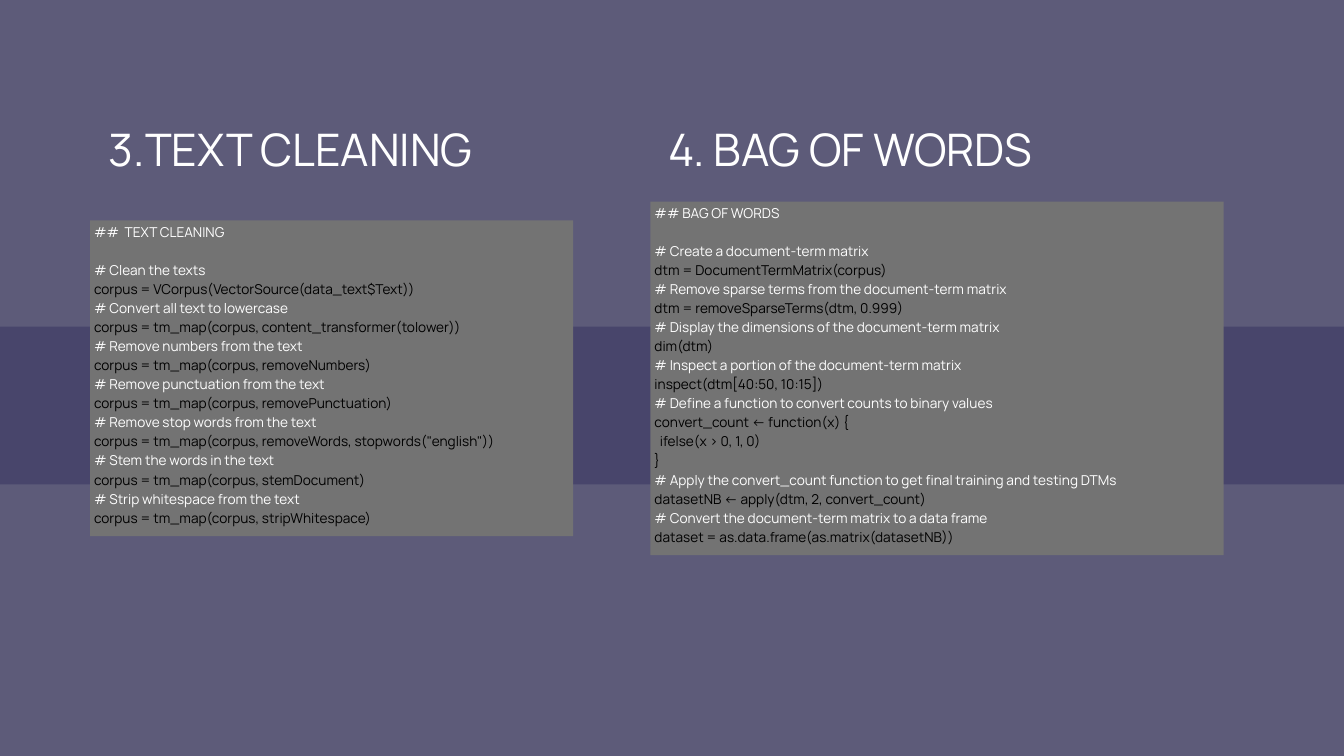
from pptx import Presentation
from pptx.dml.color import RGBColor
from pptx.enum.shapes import MSO_SHAPE
from pptx.enum.text import MSO_ANCHOR, PP_ALIGN
from pptx.util import Inches, Pt

RECTANGLE = MSO_SHAPE.RECTANGLE
MIDDLE = MSO_ANCHOR.MIDDLE
CENTER, JUSTIFY = PP_ALIGN.CENTER, PP_ALIGN.JUSTIFY

FONT = "Manrope"
BACKGROUND, BAND, PANEL = "5D5B79", "48456B", "737373"
WHITE, BLACK = "FFFFFF", "000000"
CODE_LEADING = 20.4
TITLE_TOP, TITLE_HEIGHT = 1.68, 0.95

COLUMNS = [
    {
        "title": "3.TEXT CLEANING ",
        "title_width": 6.11,
        "panel": (1.34, 3.28, 7.19, 4.7),
        "code": [
            "##  TEXT CLEANING ",
            "# Clean the texts",
            "corpus = VCorpus(VectorSource(data_text$Text))",
            "# Convert all text to lowercase",
            "corpus = tm_map(corpus, content_transformer(tolower))",
            "# Remove numbers from the text",
            "corpus = tm_map(corpus, removeNumbers)",
            "# Remove punctuation from the text",
            "corpus = tm_map(corpus, removePunctuation)",
            "# Remove stop words from the text",
            'corpus = tm_map(corpus, removeWords, stopwords("english"))',
            "# Stem the words in the text",
            "corpus = tm_map(corpus, stemDocument)",
            "# Strip whitespace from the text",
            "corpus = tm_map(corpus, stripWhitespace)",
        ],
    },
    {
        "title": "4. BAG OF WORDS",
        "title_width": 5.95,
        "panel": (9.68, 3, 8.53, 5.26),
        "code": [
            "## BAG OF WORDS",
            "# Create a document-term matrix",
            "dtm = DocumentTermMatrix(corpus)",
            "# Remove sparse terms from the document-term matrix",
            "dtm = removeSparseTerms(dtm, 0.999)",
            "# Display the dimensions of the document-term matrix",
            "dim(dtm)",
            "# Inspect a portion of the document-term matrix",
            "inspect(dtm[40:50, 10:15])",
            "# Define a function to convert counts to binary values",
            "convert_count <- function(x) {",
            "  ifelse(x > 0, 1, 0)",
            "}",
            "# Apply the convert_count function to get final training and testing DTMs",
            "datasetNB <- apply(dtm, 2, convert_count)",
            "# Convert the document-term matrix to a data frame",
            "dataset = as.data.frame(as.matrix(datasetNB))",
        ],
    },
]


def color(value):
    return RGBColor.from_string(value)


def add_rectangle(slide, box, fill):
    shape = slide.shapes.add_shape(RECTANGLE, *map(Inches, box))
    shape.shadow.inherit = False
    shape.fill.solid()
    shape.fill.fore_color.rgb = color(fill)
    shape.line.fill.background()
    return shape


def set_margins(text_frame, left, top, right, bottom):
    text_frame.margin_left, text_frame.margin_top = Inches(left), Inches(top)
    text_frame.margin_right, text_frame.margin_bottom = Inches(right), Inches(bottom)
    text_frame.word_wrap = True


def format_paragraph(paragraph, size, leading, alignment, font_color):
    paragraph.alignment = alignment
    paragraph.line_spacing = Pt(leading)
    for run in paragraph.runs:
        run.font.name = FONT
        run.font.size = Pt(size)
        run.font.color.rgb = color(font_color)


def add_title(slide, text, left, width):
    box = (left, TITLE_TOP, width, TITLE_HEIGHT)
    text_frame = slide.shapes.add_textbox(*map(Inches, box)).text_frame
    set_margins(text_frame, 0, 0, 0, 0)
    text_frame.text = text
    format_paragraph(text_frame.paragraphs[0], 48, 67.2, CENTER, WHITE)


def add_code_panel(slide, box, lines):
    text_frame = add_rectangle(slide, box, PANEL).text_frame
    set_margins(text_frame, 0.06, 0, 0.06, 0.14)
    text_frame.vertical_anchor = MIDDLE
    text_frame.text = "\n".join(lines)
    for line, paragraph in zip(lines, text_frame.paragraphs):
        font_color = WHITE if line.startswith("#") else BLACK
        format_paragraph(paragraph, 14.6, CODE_LEADING, JUSTIFY, font_color)
    text_frame.paragraphs[0].space_after = Pt(CODE_LEADING)


def main():
    """Build the slide with two code columns and save it."""
    presentation = Presentation()
    presentation.slide_width = Inches(20)
    presentation.slide_height = Inches(11.25)
    slide = presentation.slides.add_slide(presentation.slide_layouts[6])
    slide.background.fill.solid()
    slide.background.fill.fore_color.rgb = color(BACKGROUND)
    add_rectangle(slide, (-1.84, 4.86, 23.68, 2.35), BAND)
    for column in COLUMNS:
        add_code_panel(slide, column["panel"], column["code"])
        add_title(slide, column["title"], column["panel"][0], column["title_width"])
    presentation.save("out.pptx")


if __name__ == "__main__":
    main()
